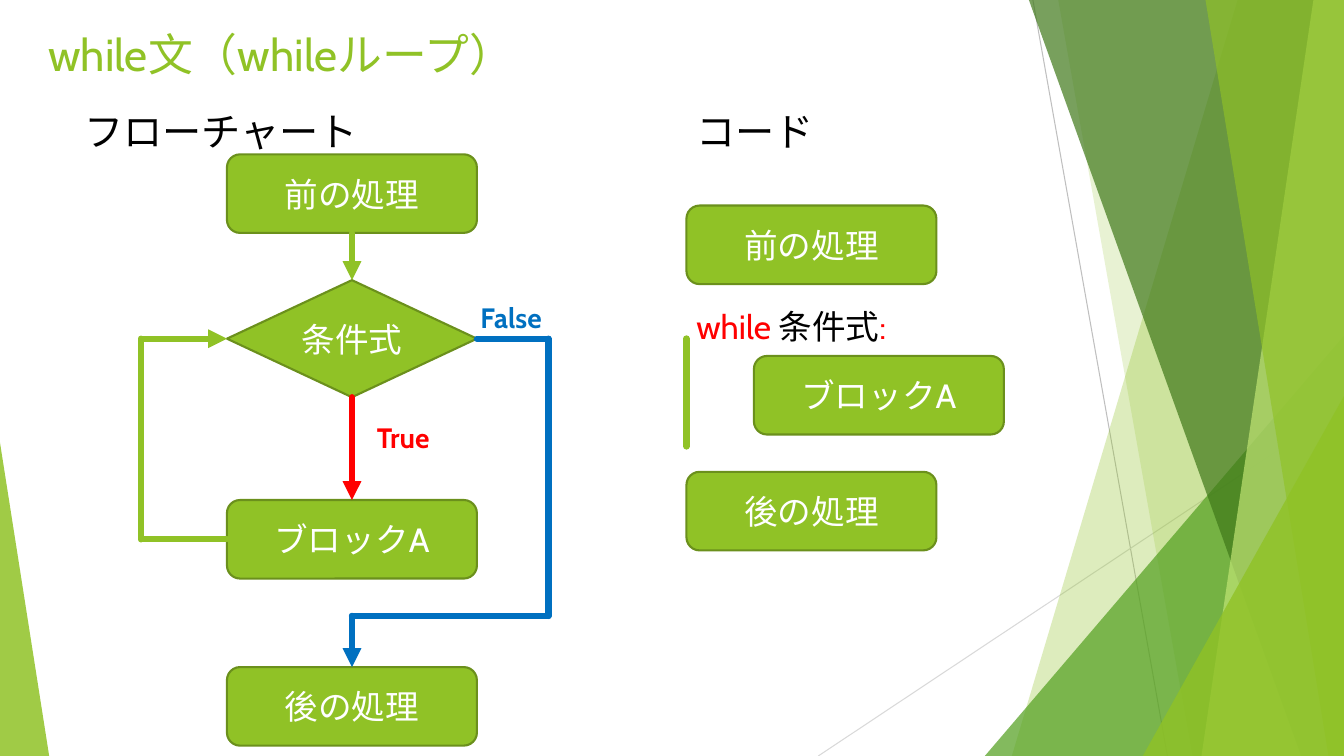
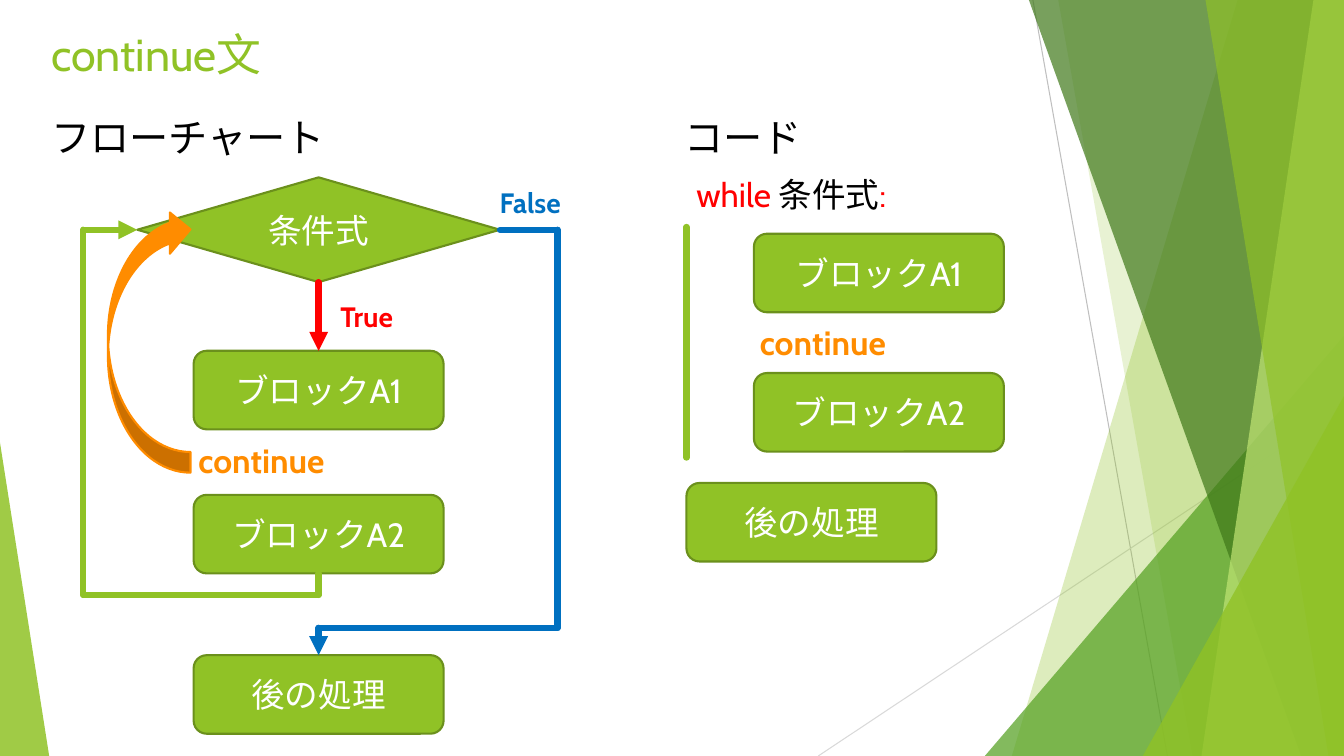
from lxml import etree
from pptx import Presentation
from pptx.dml.color import RGBColor
from pptx.enum.shapes import MSO_CONNECTOR, MSO_SHAPE
from pptx.enum.text import MSO_ANCHOR, PP_ALIGN
from pptx.oxml.ns import qn
from pptx.util import Cm, Pt

STRAIGHT = MSO_CONNECTOR.STRAIGHT
ROUNDED, DIAMOND = MSO_SHAPE.ROUNDED_RECTANGLE, MSO_SHAPE.DIAMOND
TRIANGLE, CURVED_ARROW = MSO_SHAPE.ISOSCELES_TRIANGLE, MSO_SHAPE.CURVED_LEFT_ARROW
MIDDLE, CENTER = MSO_ANCHOR.MIDDLE, PP_ALIGN.CENTER
TOP, LEFT, BOTTOM, RIGHT = range(4)

FONT = "Cabin"
GREEN, DARK_GREEN = "90C226", "6B901C"
RED, BLUE, ORANGE = "FF0000", "0070C0", "FF8C00"
BLACK, WHITE = "000000", "FFFFFF"

PAGE_W, PAGE_H = 33.87, 19.05
STEP_W, STEP_H = 6.3, 1.98
STEP_LEFT = 3.84                       # step boxes inside a flowchart
FLOW_CENTER = STEP_LEFT + STEP_W / 2


def rgb(code):
    return RGBColor.from_string(code)


# ---- Basic parts ----
def set_font(font, size, colour, bold=False):
    font.name, font.size, font.bold = FONT, Pt(size), bold
    font.color.rgb = rgb(colour)


def add_text(page, left, top, width, height, text, size, colour, bold=False):
    box = page.shapes.add_textbox(Cm(left), Cm(top), Cm(width), Cm(height))
    box.text_frame.word_wrap = True
    para = box.text_frame.paragraphs[0]
    para.text = text
    set_font(para.font, size, colour, bold)
    return para


def add_filled(shapes, kind, left, top, width, height, fill, outline=None):
    shape = shapes.add_shape(kind, Cm(left), Cm(top), Cm(width), Cm(height))
    paint(shape, fill, outline)
    return shape


def paint(shape, fill, outline=None, opacity=None):
    shape.shadow.inherit = False
    shape.fill.solid()
    shape.fill.fore_color.rgb = rgb(fill)
    if outline:
        shape.line.color.rgb = rgb(outline)
        shape.line.width = Pt(1.5)
    else:
        shape.line.fill.background()
    if opacity:
        colour = shape.element.spPr.find(qn("a:solidFill")).find(qn("a:srgbClr"))
        etree.SubElement(colour, qn("a:alpha")).set("val", str(opacity * 1000))


def add_step(page, left, top, text, kind=ROUNDED, width=STEP_W, height=STEP_H):
    step = add_filled(page.shapes, kind, left, top, width, height, GREEN, DARK_GREEN)
    step.text_frame.vertical_anchor = MIDDLE
    para = step.text_frame.paragraphs[0]
    para.text, para.alignment = text, CENTER
    set_font(para.font, 24, WHITE)
    return step


def add_line(shapes, start, end, colour, width):
    line = shapes.add_connector(STRAIGHT, *start, *end)
    line.line.color.rgb = rgb(colour)
    line.line.width = Pt(width)
    etree.SubElement(line.element.spPr, qn("a:effectLst"))
    return line


# ---- Flow lines ----
def site(shape, side):
    x = {LEFT: 0, RIGHT: shape.width}.get(side, shape.width // 2)
    y = {TOP: 0, BOTTOM: shape.height}.get(side, shape.height // 2)
    return shape.left + x, shape.top + y


def add_route(page, points, colour, begin=None, end=None):
    """Draw a polyline; begin and end are (shape, side), and end has an arrowhead."""
    points = ([site(*begin)] if begin else []) + points + ([site(*end)] if end else [])
    lines = [add_line(page.shapes, a, b, colour, 4.5) for a, b in zip(points, points[1:])]
    for line in lines:
        line.element.spPr.find(qn("a:ln")).set("cap", "rnd")
    if begin:
        lines[0].begin_connect(*begin)
    if end:
        lines[-1].end_connect(*end)
        outline = lines[-1].element.spPr.find(qn("a:ln"))
        etree.SubElement(outline, qn("a:tailEnd")).set("type", "triangle")


def add_false_branch(page, condition, after, lane, turn):
    lane, turn = Cm(lane), Cm(turn)
    bends = [(lane, site(condition, RIGHT)[1]), (lane, turn), (site(after, TOP)[0], turn)]
    add_route(page, bends, BLUE, (condition, RIGHT), (after, TOP))


def add_loop(page, bends, lane, begin, condition):
    """Lead back to the condition along a vertical lane on the left."""
    entry = (Cm(lane), site(condition, LEFT)[1])
    add_route(page, bends + [entry], GREEN, begin, (condition, LEFT))


def add_label(page, left, top, text, colour):
    add_text(page, left, top, 3.4, 1.12, text, 20, colour, True)


def add_keyword(page, left, top):
    add_text(page, left, top, 4.9, 1.27, "continue", 24, ORANGE, True)


# ---- Shared page ----
def add_backdrop(page):
    shapes = page.shapes.add_group_shape().shapes
    add_line(shapes, (Cm(26.03), 0), (Cm(29.42), Cm(PAGE_H)), "BFBFBF", 0.75)
    add_line(shapes, (Cm(PAGE_W), Cm(10.24)), (Cm(20.62), Cm(PAGE_H)), "D9D9D9", 0.75)

    def band(top_x, bottom_x, colour, opacity):
        outline = shapes.build_freeform(Cm(top_x), 0)
        corners = [(PAGE_W, 0), (PAGE_W, PAGE_H), (bottom_x, PAGE_H)]
        outline.add_line_segments([(Cm(x), Cm(y)) for x, y in corners])
        paint(outline.convert_to_shape(), colour, opacity=opacity)

    def wedge(left, top, width, apex, colour, opacity):
        shape = add_filled(shapes, TRIANGLE, left, top, width, PAGE_H - top, colour)
        shape.adjustments[0] = apex
        paint(shape, colour, opacity=opacity)

    band(31.19, 25.5, GREEN, 30)
    band(26.67, 30.05, GREEN, 20)
    wedge(24.82, 8.46, PAGE_W - 24.82, 1, "54A021", 72)
    band(25.93, 32.79, "3F7819", 70)
    band(33.1, 30.28, "C0E474", 70)
    band(30.38, 33.48, GREEN, 65)
    wedge(28.8, 9.98, PAGE_W - 28.8, 1, GREEN, 80)
    wedge(0, 11.15, 1.24, 0, GREEN, 85)


def add_page(deck, title, title_left):
    page = deck.slides.add_slide(deck.slide_layouts[6])
    add_backdrop(page)
    add_text(page, title_left, 0.56, 23.88, 2, title, 32, GREEN)
    return page


def add_heading(page, left, top, text):
    add_text(page, left, top, 9.65, 1.45, text, 28, BLACK)


# ---- Regions ----
def add_while_flow(page, left, top):
    add_heading(page, left, top, "フローチャート")
    x = left + STEP_LEFT
    before = add_step(page, x, top + 1.32, "前の処理")
    condition = add_step(page, x, top + 4.49, "条件式", DIAMOND, height=2.95)
    block = add_step(page, x, top + 10.03, "ブロックA")
    after = add_step(page, x, top + 14.24, "後の処理")

    add_route(page, [], RED, (condition, BOTTOM), (block, TOP))
    lane = left + 1.68
    add_loop(page, [(Cm(lane), site(block, LEFT)[1])], lane, (block, LEFT), condition)
    add_route(page, [], GREEN, (before, BOTTOM), (condition, TOP))
    add_false_branch(page, condition, after, left + 11.94, top + 12.95)
    add_label(page, left + 7.37, top + 7.89, "True", RED)
    add_label(page, left + 9.98, top + 4.87, "False", BLUE)


def add_continue_flow(page, left, top):
    add_heading(page, left, top, "フローチャート")
    x = left + STEP_LEFT
    wide = 9.14
    condition = add_step(page, left + FLOW_CENTER - wide / 2, top + 1.75, "条件式",
                         DIAMOND, wide, 2.64)
    first = add_step(page, x, top + 6.12, "ブロックA1")
    second = add_step(page, x, top + 9.75, "ブロックA2")
    after = add_step(page, x, top + 13.79, "後の処理")

    add_route(page, [], RED, (condition, BOTTOM), (first, TOP))
    lane, low = left + 1.06, Cm(top + 12.27)
    bends = [(site(second, BOTTOM)[0], low), (Cm(lane), low)]
    add_loop(page, bends, lane, (second, BOTTOM), condition)
    add_false_branch(page, condition, after, left + 13.01, top + 13.1)
    add_label(page, left + 7.29, top + 4.7, "True", RED)
    add_label(page, left + 11.3, top + 1.83, "False", BLUE)
    add_keyword(page, left + 3.71, top + 8.25)
    jump = add_filled(page.shapes, CURVED_ARROW, left + 1.68, top + 2.54, 2.08, 6.65,
                      ORANGE, ORANGE)
    jump.rotation = 180


def add_code(page, left, top, while_top, bar, steps, keyword_top=None):
    """Steps are (text, indent, top); bar is the top and bottom of the loop line."""
    para = add_text(page, left, top + while_top, 9.73, 1.27, "", 24, RED)
    for text, colour in (("while ", RED), ("条件式", BLACK), (":", RED)):
        span = para.add_run()
        span.text = text
        set_font(span.font, 24, colour)
    add_route(page, [(Cm(left), Cm(top + y)) for y in bar], GREEN)
    for text, indent, step_top in steps:
        add_step(page, left + indent, top + step_top, text)
    if keyword_top:
        add_keyword(page, left + 1.6, top + keyword_top)


def main():
    deck = Presentation()
    deck.slide_width, deck.slide_height = Cm(PAGE_W), Cm(PAGE_H)
    code_left, indent = 17.3, 1.7

    # while statement
    page = add_page(deck, "while文（whileループ）", 0.97)
    add_while_flow(page, 1.88, 2.57)
    add_heading(page, code_left, 2.59, "コード")
    add_code(page, code_left, 2.59, 5, (5.94, 8.66),
             [("前の処理", 0, 2.59), ("ブロックA", indent, 6.38), ("後の処理", 0, 9.3)])

    # continue statement
    page = add_page(deck, "continue文", 1.04)
    add_continue_flow(page, 1.04, 2.72)
    add_heading(page, 17, 2.72, "コード")
    add_code(page, code_left, 2.72, 1.55, (3, 8.81),
             [("ブロックA1", indent, 3.17), ("ブロックA2", indent, 6.68), ("後の処理", 0, 9.45)],
             keyword_top=5.26)

    deck.save("out.pptx")


if __name__ == "__main__":
    main()
